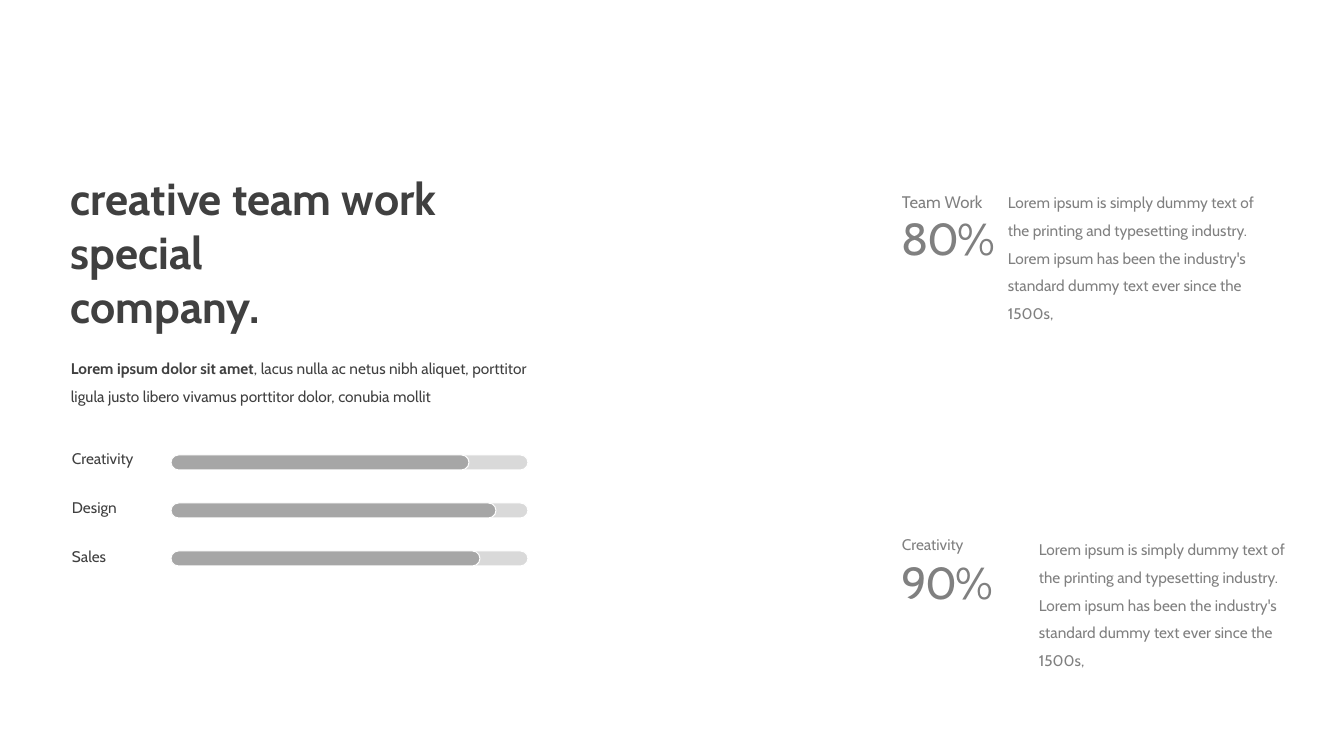
from dataclasses import dataclass

from pptx import Presentation
from pptx.dml.color import RGBColor
from pptx.enum.shapes import MSO_SHAPE
from pptx.enum.text import MSO_AUTO_SIZE, PP_ALIGN
from pptx.util import Emu, Pt

EMU_PER_PIXEL = 914400 / 100.8


@dataclass(frozen=True)
class Theme:
    font: str = "Cabin"
    dark: str = "404040"
    grey: str = "808080"
    track: str = "D9D9D9"
    bar: str = "A6A6A6"
    outline: str = "FFFFFF"
    display_size: int = 32
    stat_size: int = 12
    body_size: int = 11
    outline_width: float = 0.75


THEME = Theme()


def px(pixels):
    return Emu(round(pixels * EMU_PER_PIXEL))


def add_text(shapes, box, paragraphs, *, size=THEME.body_size, color=THEME.dark,
             bold=False, bold_lead="", line_spacing=None, before=None, after=None,
             align=None, tracking=None, pad_y=None, grow=True):
    """Add a text box; bold_lead is a bold opening of the first paragraph."""
    frame = shapes.add_textbox(*map(px, box)).text_frame
    frame.word_wrap = True
    frame.auto_size = MSO_AUTO_SIZE.SHAPE_TO_FIT_TEXT if grow else MSO_AUTO_SIZE.NONE
    if pad_y is not None:
        frame.margin_top = frame.margin_bottom = px(pad_y)
    for index, text in enumerate(paragraphs):
        para = frame.add_paragraph() if index else frame.paragraphs[0]
        para.line_spacing = line_spacing
        para.space_before, para.space_after = before, after
        para.alignment = align
        parts = [(text, bold)]
        if bold_lead and index == 0:
            parts.insert(0, (bold_lead, True))
        for words, heavy in parts:
            span = para.add_run()
            span.text = words
            span.font.name = THEME.font
            span.font.size = Pt(size)
            span.font.bold = heavy
            span.font.color.rgb = RGBColor.from_string(color)
            if tracking is not None:
                span._r.get_or_add_rPr().set("spc", str(round(tracking * 100)))


def add_pill(shapes, box, color):
    pill = shapes.add_shape(MSO_SHAPE.ROUNDED_RECTANGLE, *map(px, box))
    pill.adjustments[0] = 0.5
    pill.shadow.inherit = False
    pill.fill.solid()
    pill.fill.fore_color.rgb = RGBColor.from_string(color)
    pill.line.color.rgb = RGBColor.from_string(THEME.outline)
    pill.line.width = Pt(THEME.outline_width)


def add_intro(page, box):
    """Headline with the lead paragraph below it."""
    left, top, width, height = box
    headline_height, lead_height = 173, 64
    add_text(page.shapes, (left, top, width, headline_height),
             ["creative team work special", "company."],
             size=THEME.display_size, bold=True)
    add_text(page.shapes, (left, top + height - lead_height, width, lead_height),
             [", lacus nulla ac netus nibh aliquet, porttitor ligula justo libero "
              "vivamus porttitor dolor, conubia mollit"],
             bold_lead="Lorem ipsum dolor sit amet", line_spacing=1.5)


def add_skills(page, box, skills):
    """Labels on the left, progress bars flush with the right edge."""
    left, top, width, _ = box
    track_width, bar_height = 357, 15
    label_step, bar_step, bar_drop = 49, 48, 11
    bar_left = left + width - track_width
    labels = page.shapes.add_group_shape().shapes
    bars = page.shapes.add_group_shape().shapes
    for row, (name, filled) in enumerate(skills):
        add_text(labels, (left, top + row * label_step, 155, 43), [name],
                 line_spacing=Pt(13), before=Pt(10), after=Pt(12),
                 align=PP_ALIGN.JUSTIFY, grow=False)
        bar_top = top + bar_drop + row * bar_step
        for length, color in ((track_width, THEME.track), (filled, THEME.bar)):
            add_pill(bars, (bar_left, bar_top, length, bar_height), color)


def add_stat(page, box, name, value, label_size, detail_drop):
    """Named percentage, with its description flush with the right edge."""
    left, top, width, _ = box
    detail_width = 282
    parts = page.shapes.add_group_shape().shapes
    add_text(parts, (left + width - detail_width, top + detail_drop, detail_width, 122),
             ["Lorem ipsum is simply dummy text of the printing and typesetting "
              "industry. Lorem ipsum has been the industry's standard dummy text "
              "ever since the 1500s,"], color=THEME.grey, line_spacing=1.5)
    add_text(parts, (left, top + 34, 211, 54), [value], size=THEME.display_size,
             color=THEME.grey, tracking=-1.5, pad_y=0)
    add_text(parts, (left, top, 136, 36), [name], size=label_size,
             color=THEME.grey, line_spacing=1.5)


def main():
    deck = Presentation()
    deck.slide_width, deck.slide_height = px(1344), px(756)
    page = deck.slides.add_slide(deck.slide_layouts[6])

    # Left column
    add_intro(page, (61, 166, 502, 243))
    add_skills(page, (62, 444, 466, 141),
               [("Creativity", 298), ("Design", 325), ("Sales", 309)])

    # Right column
    add_stat(page, (892, 177, 388, 124), "Team Work", "80%", THEME.stat_size, 2)
    add_stat(page, (892, 521, 419, 127), "Creativity", "90%", THEME.body_size, 5)

    deck.save("out.pptx")


main()
